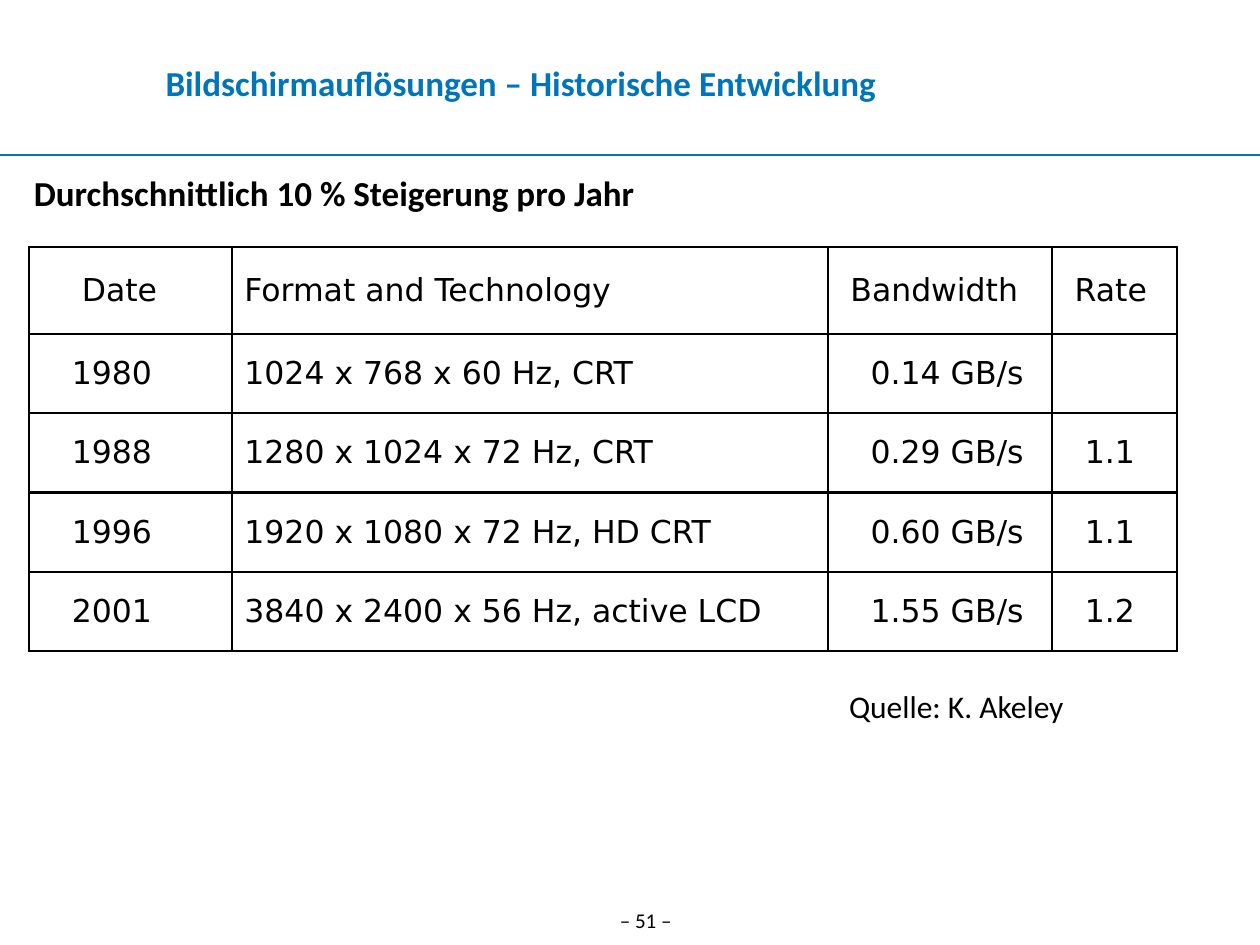
"""Build a slide with a table of display resolutions over the years."""
from lxml.etree import SubElement
from pptx import Presentation
from pptx.dml.color import RGBColor
from pptx.enum.shapes import MSO_CONNECTOR
from pptx.enum.text import MSO_ANCHOR as Anchor, PP_ALIGN as Align
from pptx.oxml.ns import qn
from pptx.util import Inches, Pt

BLUE = RGBColor(0x00, 0x75, 0xBA)
BLACK = RGBColor(0x00, 0x00, 0x00)


def format_text(frame, size, name="Calibri", color=BLACK, bold=False, align=Align.LEFT):
    para = frame.paragraphs[0]
    para.alignment = align
    for span in para.runs:
        span.font.size = Pt(size)
        span.font.name = name
        span.font.bold = bold
        span.font.color.rgb = color


def add_borders(cell, width):
    properties = cell._tc.get_or_add_tcPr()
    for side in ("lnL", "lnR", "lnT", "lnB"):
        border = SubElement(properties, qn(f"a:{side}"), w=str(Pt(width)))
        fill = SubElement(border, qn("a:solidFill"))
        SubElement(fill, qn("a:srgbClr"), val=str(BLACK))


deck = Presentation()
deck.slide_width = Inches(10)
deck.slide_height = Inches(7.5)
page = deck.slides.add_slide(deck.slide_layouts[5])

rule = page.shapes.add_connector(
    MSO_CONNECTOR.STRAIGHT, Inches(0), Inches(1.23), Inches(10), Inches(1.23)
)
rule.line.color.rgb = BLUE
rule.line.width = Pt(0.75)
SubElement(rule._element.spPr, qn("a:effectLst"))

title = page.shapes.title
title.left, title.top = Inches(0.2), Inches(0.23)
title.width, title.height = Inches(7.87), Inches(0.85)
frame = title.text_frame
frame.text = "Bildschirmauflösungen – Historische Entwicklung"
frame.vertical_anchor = Anchor.MIDDLE
frame.margin_left = frame.margin_right = frame.margin_top = frame.margin_bottom = 0
format_text(frame, 20, color=BLUE, bold=True, align=Align.CENTER)

rows = [
    ("Date", "Format and Technology", "Bandwidth", "Rate"),
    ("1980", "1024 x 768 x 60 Hz, CRT", "0.14 GB/s", ""),
    ("1988", "1280 x 1024 x 72 Hz, CRT", "0.29 GB/s", "1.1"),
    ("1996", "1920 x 1080 x 72 Hz, HD CRT", "0.60 GB/s", "1.1"),
    ("2001", "3840 x 2400 x 56 Hz, active LCD", "1.55 GB/s", "1.2"),
]
column_widths = (1.61, 4.73, 1.78, 0.99)
row_heights = (0.69, 0.63, 0.63, 0.63, 0.63)
header_margins = (0.42, 0.1, 0.18, 0.18)
value_margins = (0.34, 0.1, 0.34, 0.26)

table = page.shapes.add_table(
    len(rows), len(column_widths), Inches(0.23), Inches(1.96), Inches(9.11), Inches(3.21)
).table
table.first_row = table.horz_banding = False
for column, width in zip(table.columns, column_widths):
    column.width = Inches(width)
for row, height in zip(table.rows, row_heights):
    row.height = Inches(height)
for row_index, values in enumerate(rows):
    margins = value_margins if row_index else header_margins
    for column_index, value in enumerate(values):
        cell = table.cell(row_index, column_index)
        cell.text_frame.text = value
        cell.vertical_anchor = Anchor.MIDDLE
        cell.margin_left = Inches(margins[column_index])
        cell.margin_right = Inches(0.05)
        format_text(cell.text_frame, 18, name="DejaVu Sans")
        add_borders(cell, 1.5)
        cell.fill.background()

labels = [
    ("Quelle: K. Akeley", 6.64, 5.4, 2.29, 0.4, 18, False, Align.LEFT),
    ("Durchschnittlich 10 % Steigerung pro Jahr", 0.17, 1.31, 9.75, 0.65, 20, True, Align.LEFT),
    ("– 51 –", 4.69, 7.15, 0.87, 0.3, 12, False, Align.CENTER),
]
for text, left, top, width, height, size, bold, align in labels:
    box = page.shapes.add_textbox(Inches(left), Inches(top), Inches(width), Inches(height))
    box.text_frame.word_wrap = True
    box.text_frame.text = text
    format_text(box.text_frame, size, bold=bold, align=align)

deck.save("out.pptx")
